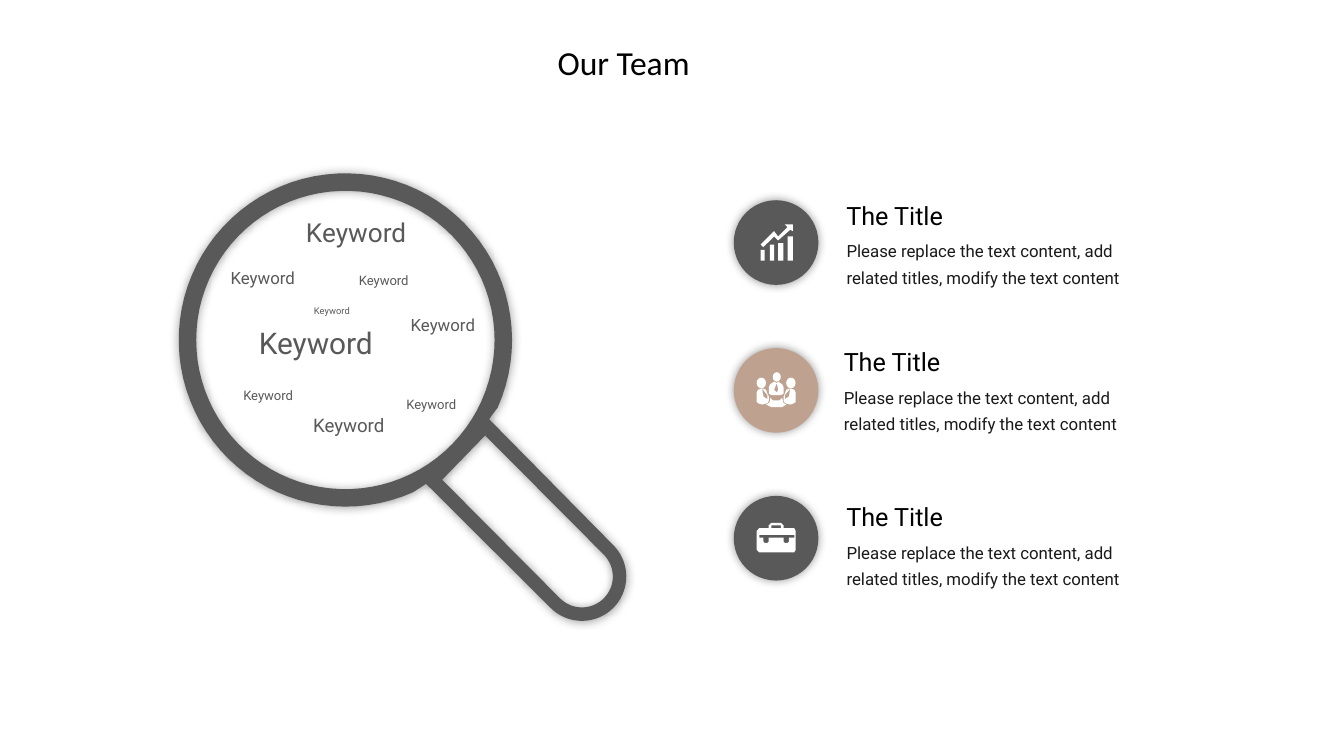
import math

import lxml.etree
import pptx
import pptx.dml.color
import pptx.enum.shapes
import pptx.enum.text
import pptx.oxml.ns
import pptx.util

Inches = pptx.util.Inches
RGB = pptx.dml.color.RGBColor.from_string
qn = pptx.oxml.ns.qn
COLORS = {"gray": "595959", "tan": "BFA18F", "white": "FFFFFF",
          "title": "000000", "body": "1A1A1A", "shadow": "000000"}

deck = pptx.Presentation()
deck.slide_width = Inches(10)
deck.slide_height = Inches(10) * 9 // 16
slide = deck.slides.add_slide(deck.slide_layouts[6])


def arc(x, y, radius, start, end):
    steps = max(2, abs(end - start) // 4)
    angles = [math.radians(start + (end - start) * i / steps) for i in range(steps + 1)]
    return [(x + radius * math.cos(a), y + radius * math.sin(a)) for a in angles]


def draw_outline(contours, color):
    builder = None
    for contour in contours:
        points = [(Inches(x), Inches(y)) for x, y in contour]
        if builder is None:
            builder = slide.shapes.build_freeform(*points[0])
        else:
            builder.move_to(*points[0])
        builder.add_line_segments(points[1:], close=True)
    outline = builder.convert_to_shape()
    outline.fill.solid()
    outline.fill.fore_color.rgb = RGB(COLORS[color])
    outline.line.fill.background()
    outline.shadow.inherit = False
    return outline


frame = (arc(2.57, 2.53, 1.24, 66, 384) + [(3.66, 3.09), (3.64, 3.12)]
         + arc(4.33, 4.29, 0.33, -45, 135) + [(3.17, 3.6), (3.14, 3.62)])
grip = [(3.29, 3.57)] + arc(4.33, 4.29, 0.23, 135, -45) + [(3.61, 3.24)]
lens = arc(2.57, 2.53, 1.11, 0, 360)
shadowed = [draw_outline([frame, grip, lens], "gray")]

discs = [(5.46, y, 0.63, 0.63, color)
         for y, color in [(1.49, "gray"), (2.59, "tan"), (3.69, "gray")]]
heads = [(x, y, w, h, "white") for x, y, w, h in
         [(5.63, 2.81, 0.07, 0.08), (5.75, 2.77, 0.06, 0.07), (5.85, 2.81, 0.07, 0.08)]]
for x, y, w, h, color in discs + heads:
    oval = slide.shapes.add_shape(pptx.enum.shapes.MSO_SHAPE.OVAL,
                                  Inches(x), Inches(y), Inches(w), Inches(h))
    oval.fill.solid()
    oval.fill.fore_color.rgb = RGB(COLORS[color])
    oval.line.fill.background()
    oval.shadow.inherit = False
    if color != "white":
        shadowed.append(oval)

for part in shadowed:
    effects = part._element.spPr.find(qn("a:effectLst"))
    glow = lxml.etree.SubElement(effects, qn("a:outerShdw"), blurRad=str(pptx.util.Pt(5)),
                                 dist="0", dir="0", algn="ctr", rotWithShape="0")
    tint = lxml.etree.SubElement(glow, qn("a:srgbClr"), val=COLORS["shadow"])
    lxml.etree.SubElement(tint, qn("a:alpha"), val="40000")

trend = [(5.84, 1.67), (5.86, 1.69), (5.79, 1.76), (5.76, 1.72), (5.66, 1.82), (5.68, 1.84),
         (5.76, 1.76), (5.79, 1.79), (5.88, 1.71), (5.9, 1.72), (5.9, 1.67)]
bars = [[(left, top), (right, top), (right, 1.94), (left, 1.94)]
        for left, right, top in [(5.66, 5.69, 1.86), (5.73, 5.76, 1.82),
                                 (5.79, 5.83, 1.81), (5.86, 5.9, 1.76)]]
draw_outline([trend] + bars, "white")

left_person = [(5.72, 2.98), (5.72, 2.95), (5.71, 2.93), (5.7, 2.9), (5.67, 2.89),
               (5.71, 2.94), (5.71, 2.97), (5.68, 2.95), (5.67, 2.89), (5.64, 2.9),
               (5.63, 2.92), (5.63, 2.99), (5.64, 3), (5.67, 3.01), (5.71, 3)]
right_person = [(11.55 - x, y) for x, y in left_person]
middle_person = [(5.74, 2.94), (5.72, 2.93), (5.72, 2.88), (5.73, 2.86), (5.76, 2.84),
                 (5.78, 2.85), (5.76, 2.9), (5.78, 2.92), (5.79, 2.9), (5.78, 2.85),
                 (5.79, 2.84), (5.82, 2.86), (5.83, 2.88), (5.83, 2.93), (5.81, 2.94)]
meeting_table = [(5.83, 3), (5.82, 2.96), (5.8, 2.98), (5.75, 2.98), (5.73, 2.96),
                 (5.73, 2.98), (5.72, 3), (5.7, 3.01), (5.74, 3.03), (5.78, 3.03),
                 (5.82, 3.03), (5.85, 3.01)]
for figure in (right_person, meeting_table, middle_person, left_person):
    draw_outline([figure], "white")

case = [(5.65, 3.93), (5.72, 3.93), (5.72, 3.91), (5.74, 3.89), (5.81, 3.89), (5.83, 3.91),
        (5.83, 3.93), (5.91, 3.93), (5.92, 3.95), (5.92, 4.09), (5.91, 4.11),
        (5.65, 4.11), (5.63, 4.09), (5.63, 3.95)]
handle_gap = [(5.74, 3.91), (5.81, 3.91), (5.81, 3.93), (5.74, 3.93)]
strap = [(5.65, 3.98), (5.91, 3.98), (5.91, 4), (5.87, 4), (5.87, 4.03), (5.86, 4.04),
         (5.84, 4.04), (5.83, 4.03), (5.83, 4), (5.72, 4), (5.72, 4.03), (5.71, 4.04),
         (5.69, 4.04), (5.68, 4.03), (5.68, 4), (5.65, 4)]
draw_outline([case, handle_gap, strap], "white")

left_align, centered = pptx.enum.text.PP_ALIGN.LEFT, pptx.enum.text.PP_ALIGN.CENTER
texts = [(4.05, 0.26, 1.31, 0.71, "Our Team", 18, "Calibri", "title", left_align, False, 1)]
for x, y, w, h, size in [
    (1.63, 2.37, 1.44, 0.37, 16), (2.06, 1.56, 1.18, 0.34, 14), (2.11, 3.03, 0.97, 0.27, 10),
    (1.54, 1.94, 0.83, 0.25, 9), (2.5, 1.98, 0.71, 0.22, 7), (2.88, 2.9, 0.66, 0.22, 7),
    (2.88, 2.29, 0.83, 0.25, 9), (1.64, 2.83, 0.71, 0.22, 7), (2.14, 2.22, 0.66, 0.18, 5),
]:
    texts.append((x, y, w, h, "Keyword", size, "Roboto", "gray", centered, True, 1))
for x, y in [(6.2, 1.44), (6.18, 2.53), (6.2, 3.68)]:
    texts.append((x, y, 1.04, 0.33, "The Title", 13.5, "Roboto", "title", left_align, False, 1))
    texts.append((x, y + 0.26, 2.48, 0.69,
                  "Please replace the text content, add related titles, modify the text content",
                  9, "Roboto", "body", left_align, True, 1.3))

for x, y, w, h, wording, size, font, color, align, wrap, spacing in texts:
    box = slide.shapes.add_textbox(Inches(x), Inches(y), Inches(w), Inches(h))
    box.text_frame.word_wrap = wrap
    paragraph = box.text_frame.paragraphs[0]
    paragraph.text = wording
    paragraph.alignment = align
    paragraph.line_spacing = spacing
    paragraph.font.size = pptx.util.Pt(size)
    paragraph.font.name = font
    paragraph.font.color.rgb = RGB(COLORS[color])

deck.save("out.pptx")
